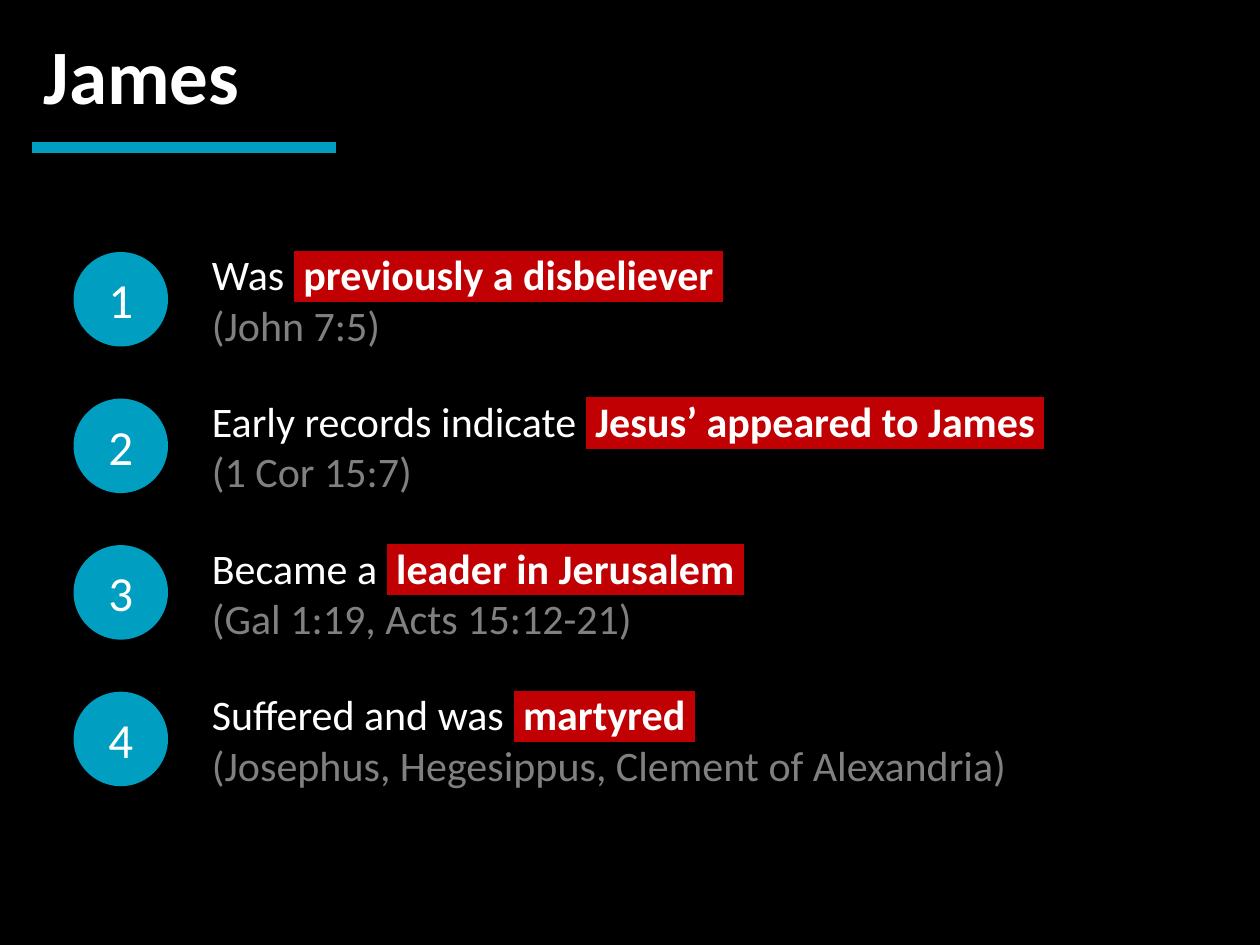
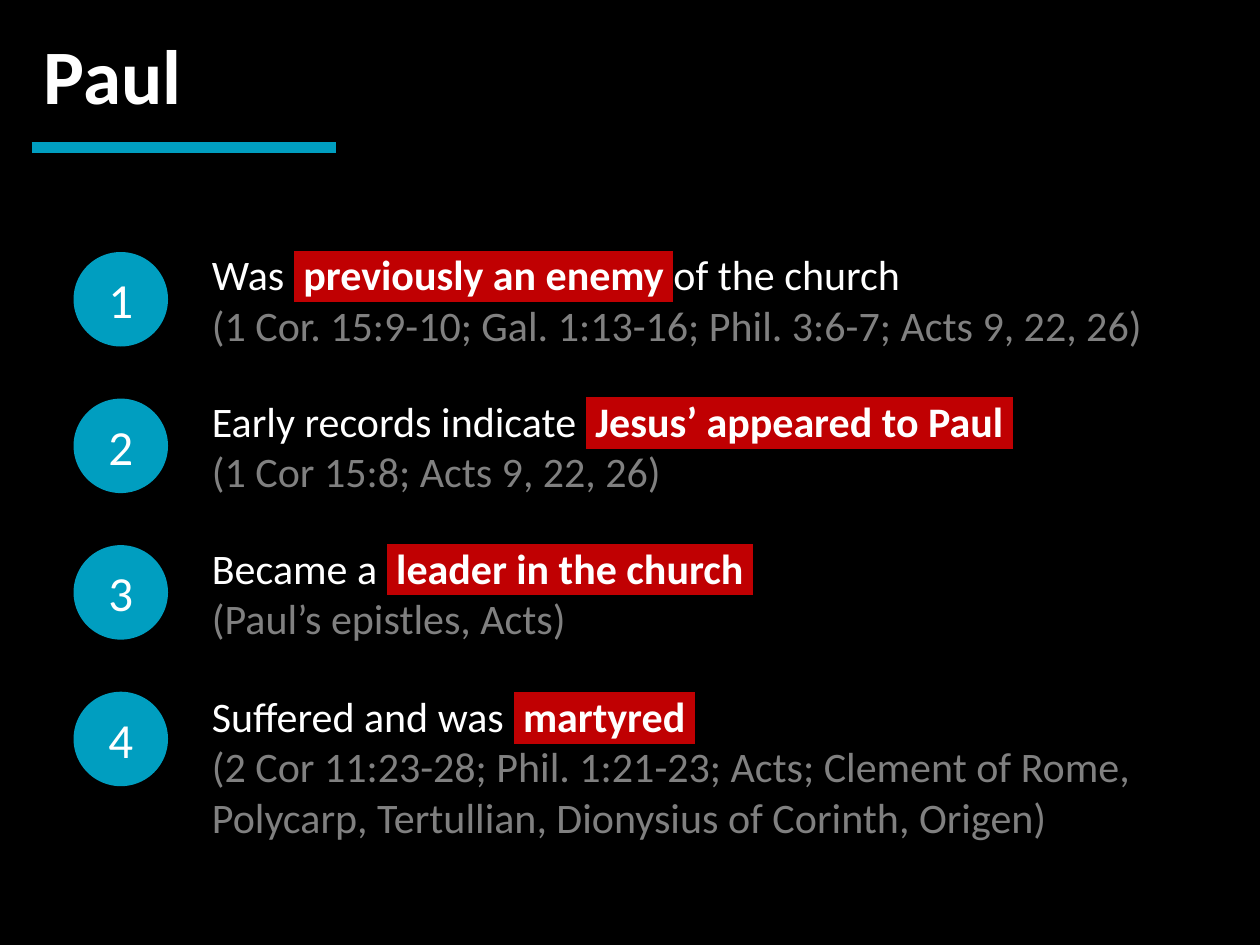
from lxml.etree import SubElement, Element
from pptx import Presentation
from pptx.dml.color import RGBColor
from pptx.enum.shapes import MSO_CONNECTOR as Conn, MSO_SHAPE as Shape
from pptx.enum.text import MSO_ANCHOR as Anchor, MSO_AUTO_SIZE as Auto, PP_ALIGN as Align
from pptx.oxml.ns import qn
from pptx.util import Pt

FONT = "Calibri"
BLACK, WHITE, GREY, BLUE, RED = "000000", "FFFFFF", "808080", "009EC0", "C00002"
TITLE = {"size": Pt(44), "bold": True}
NUMBER = {"size": Pt(28)}
BODY = {"size": Pt(24)}
KEY = {"size": Pt(24), "bold": True}
ROW_H, ROW_PITCH = 54, 83.75

SLIDES = [
    ("James", [
        ("Was ", " previously a disbeliever ", "", "(John 7:5)", ROW_H),
        ("Early records indicate ", " Jesus’ appeared to James ", "", "(1 Cor 15:7)", ROW_H),
        ("Became a ", " leader in Jerusalem ", "", "(Gal 1:19, Acts 15:12-21)", ROW_H),
        ("Suffered and was ", " martyred ", "",
         "(Josephus, Hegesippus, Clement of Alexandria)", ROW_H),
    ]),
    ("Paul", [
        ("Was ", " previously an enemy ", "of the church",
         "(1 Cor. 15:9-10; Gal. 1:13-16; Phil. 3:6-7; Acts 9, 22, 26)", ROW_H),
        ("Early records indicate ", " Jesus’ appeared to Paul ", "",
         "(1 Cor 15:8; Acts 9, 22, 26)", ROW_H),
        ("Became a ", " leader in the church ", "", "(Paul’s epistles, Acts)", ROW_H),
        ("Suffered and was ", " martyred ", "",
         "(2 Cor 11:23-28; Phil. 1:21-23; Acts; Clement of Rome, "
         "Polycarp, Tertullian, Dionysius of Corinth, Origen)", 85),
    ]),
]


def paint(color_format, color):
    """Set a colour from a hex string."""
    color_format.rgb = RGBColor.from_string(color)


def add_run(p, text, fmt, color=WHITE, highlight=None):
    """Add a formatted run, with an optional highlight."""
    r = p.add_run()
    r.text = text
    for name, value in fmt.items():
        setattr(r.font, name, value)
    paint(r.font.color, color)
    if highlight:
        mark = Element(qn("a:highlight"))
        SubElement(mark, qn("a:srgbClr"), val=highlight)
        r.font._element.find(qn("a:solidFill")).addnext(mark)
    r.font.name = FONT


def add_header(s, title, x, y, w, h):
    """Place the title and the rule beneath it."""
    tf = s.shapes.add_textbox(Pt(x), Pt(y), Pt(w), Pt(h)).text_frame
    tf.word_wrap = True
    tf.auto_size = Auto.SHAPE_TO_FIT_TEXT
    add_run(tf.paragraphs[0], title, TITLE)
    rule_y = Pt(y + 72)
    rule = s.shapes.add_connector(Conn.STRAIGHT, Pt(x), rule_y, Pt(x + 174), rule_y)
    paint(rule.line.color, BLUE)
    rule.line.width = Pt(6)
    SubElement(rule._element.spPr, qn("a:effectLst"))


def add_point(s, number, point, x, y, w):
    """Group a numbered disc with its statement and sources."""
    lead, key, tail, sources, h = point
    shapes = s.shapes.add_group_shape().shapes

    disc = shapes.add_shape(Shape.OVAL, Pt(x), Pt(y), Pt(ROW_H), Pt(ROW_H))
    disc.shadow.inherit = False
    disc.fill.solid()
    paint(disc.fill.fore_color, BLUE)
    disc.line.fill.background()
    disc.text_frame.vertical_anchor = Anchor.MIDDLE
    p = disc.text_frame.paragraphs[0]
    p.alignment = Align.CENTER
    add_run(p, str(number), NUMBER)

    tf = shapes.add_textbox(Pt(x + 72), Pt(y), Pt(w - 72), Pt(h)).text_frame
    tf.word_wrap = True
    tf.vertical_anchor = Anchor.MIDDLE
    p = tf.paragraphs[0]
    add_run(p, lead, BODY)
    add_run(p, key, KEY, highlight=RED)
    if tail:
        add_run(p, tail, BODY)
    add_run(tf.add_paragraph(), sources, BODY, GREY)


def add_person(prs, title, points):
    """Build one slide on a witness."""
    s = prs.slides.add_slide(prs.slide_layouts[6])
    s.background.fill.solid()
    paint(s.background.fill.fore_color, BLACK)
    add_header(s, title, 18, 12.25, 678, 60.5)
    for i, point in enumerate(points):
        add_point(s, i + 1, point, 42, 144 + i * ROW_PITCH, 630)


def main():
    """Build and save the presentation."""
    prs = Presentation()
    prs.slide_width, prs.slide_height = Pt(720), Pt(540)
    for title, points in SLIDES:
        add_person(prs, title, points)
    prs.save("out.pptx")


if __name__ == "__main__":
    main()
